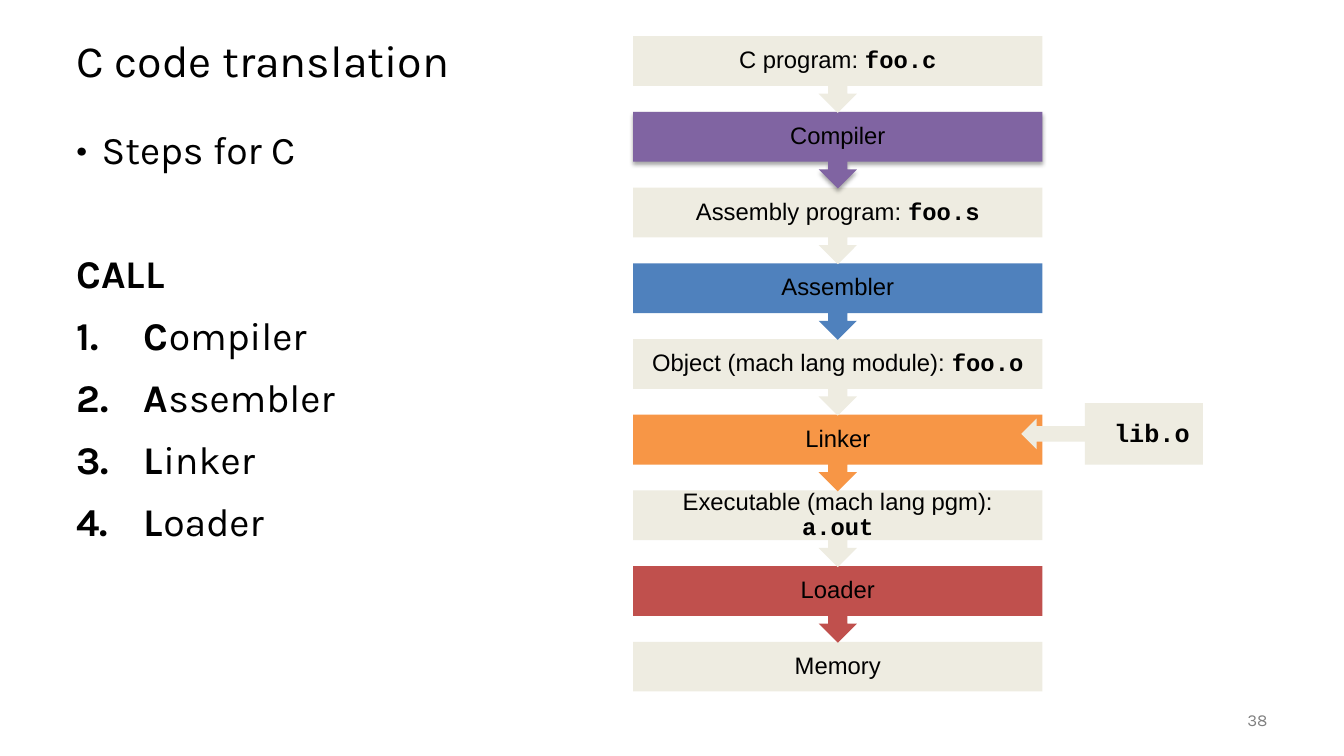
from dataclasses import dataclass

from lxml import etree
from pptx import Presentation
from pptx.dml.color import RGBColor
from pptx.enum.shapes import MSO_SHAPE
from pptx.enum.text import MSO_ANCHOR, PP_ALIGN
from pptx.oxml.ns import qn
from pptx.util import Inches, Pt

DOWN_CALLOUT = MSO_SHAPE.DOWN_ARROW_CALLOUT
LEFT_CALLOUT = MSO_SHAPE.LEFT_ARROW_CALLOUT
RECTANGLE = MSO_SHAPE.RECTANGLE
TOP, MIDDLE = MSO_ANCHOR.TOP, MSO_ANCHOR.MIDDLE
LEFT, CENTER, RIGHT = PP_ALIGN.LEFT, PP_ALIGN.CENTER, PP_ALIGN.RIGHT


@dataclass(frozen=True)
class Theme:
    text: str = "000000"
    muted: str = "808080"
    file: str = "EEECE1"
    compiler: str = "8064A2"
    assembler: str = "4F81BD"
    linker: str = "F79646"
    loader: str = "C0504D"
    font: str = "Karla"
    diagram_font: str = "Arial"
    code_font: str = "Courier New"
    title_size: int = 32
    body_size: int = 28
    library_size: int = 18
    step_size: int = 17
    number_size: int = 12


THEME = Theme()

STEPS = [
    ("C program: ", "foo.c", THEME.file),
    ("Compiler", "", THEME.compiler),
    ("Assembly program: ", "foo.s", THEME.file),
    ("Assembler", "", THEME.assembler),
    ("Object (mach lang module): ", "foo.o", THEME.file),
    ("Linker", "", THEME.linker),
    ("Executable (mach lang pgm): ", "a.out", THEME.file),
    ("Loader", "", THEME.loader),
    ("Memory", "", THEME.file),
]
STEP_LEFT, STEP_TOP, STEP_WIDTH = 6.28, 0.36, 4.06
STEP_PITCH, CALLOUT_HEIGHT, BOX_HEIGHT = 0.751, 0.76, 0.49


def set_font(font, size, name=THEME.font, color=THEME.text):
    font.size = Pt(size)
    font.name = name
    font.color.rgb = RGBColor.from_string(color)


def add_text_box(slide, left, top, width, height, anchor):
    box = slide.shapes.add_textbox(Inches(left), Inches(top), Inches(width), Inches(height))
    frame = box.text_frame
    frame.word_wrap = True
    frame.vertical_anchor = anchor
    return frame


def add_label(slide, text, place, size, color, align):
    paragraph = add_text_box(slide, *place, MIDDLE).paragraphs[0]
    paragraph.text = text
    paragraph.alignment = align
    paragraph.line_spacing = 0.9
    set_font(paragraph.font, size, color=color)


def add_bullet(paragraph, indent, tag, **attributes):
    properties = paragraph._p.get_or_add_pPr()
    properties.set("marL", str(Inches(indent)))
    properties.set("indent", str(-Inches(indent)))
    etree.SubElement(properties, qn("a:buFont"), typeface=THEME.font)
    etree.SubElement(properties, qn(tag), **attributes)


def add_body_paragraph(frame, space_before):
    paragraph = frame.add_paragraph() if frame.text else frame.paragraphs[0]
    paragraph.line_spacing = 0.9
    paragraph.space_before = Pt(space_before)
    set_font(paragraph.font, THEME.body_size)
    return paragraph


def add_body(slide):
    frame = add_text_box(slide, 0.66, 1.25, 4.43, 5.5, TOP)
    intro = add_body_paragraph(frame, 0)
    add_bullet(intro, 0.25, "a:buChar", char="•")
    intro.add_run().text = "Steps for C"
    heading = add_body_paragraph(frame, 58)
    heading.text = "CALL"
    heading.font.bold = True
    for name in ("Compiler", "Assembler", "Linker", "Loader"):
        paragraph = add_body_paragraph(frame, 14)
        add_bullet(paragraph, 0.67, "a:buAutoNum", type="arabicPeriod")
        initial = paragraph.add_run()
        initial.text = name[0]
        initial.font.bold = True
        paragraph.add_run().text = name[1:]


def add_block(slide, kind, place, fill, text, code, size, insets):
    shape = slide.shapes.add_shape(kind, *(Inches(length) for length in place))
    shape.shadow.inherit = False
    shape.fill.solid()
    shape.fill.fore_color.rgb = RGBColor.from_string(fill)
    shape.line.fill.background()
    if kind != RECTANGLE:
        for index, value in enumerate((0.25, 0.25, 0.25, 0.65)):
            shape.adjustments[index] = value
    frame = shape.text_frame
    frame.word_wrap = True
    frame.vertical_anchor = MIDDLE
    frame.margin_left, frame.margin_right = (Inches(inset) for inset in insets)
    frame.margin_top = frame.margin_bottom = 0
    paragraph = frame.paragraphs[0]
    paragraph.alignment = CENTER
    paragraph.line_spacing = 0.9
    set_font(paragraph.font, size, THEME.diagram_font)
    if text:
        paragraph.add_run().text = text
    if code:
        run = paragraph.add_run()
        run.text = code
        run.font.name = THEME.code_font
        run.font.bold = True
    return shape


def add_shadow(shape):
    effects = shape._element.spPr.find(qn("a:effectLst"))
    shadow = etree.SubElement(effects, qn("a:outerShdw"), blurRad=str(Pt(3.1)),
                              dist=str(Pt(1.8)), dir="5400000", rotWithShape="0")
    color = etree.SubElement(shadow, qn("a:srgbClr"), val="000000")
    etree.SubElement(color, qn("a:alpha"), val="35000")


def add_steps(slide):
    last = len(STEPS) - 1
    for index, (text, code, fill) in reversed(list(enumerate(STEPS))):
        kind, height = (RECTANGLE, BOX_HEIGHT) if index == last else (DOWN_CALLOUT, CALLOUT_HEIGHT)
        place = (STEP_LEFT, STEP_TOP + index * STEP_PITCH, STEP_WIDTH, height)
        shape = add_block(slide, kind, place, fill, text, code, THEME.step_size, (0.13, 0.13))
        if text == "Compiler":
            add_shadow(shape)


def main():
    presentation = Presentation()
    presentation.slide_width = Inches(13.33)
    presentation.slide_height = Inches(7.5)
    slide = presentation.slides.add_slide(presentation.slide_layouts[6])
    add_label(slide, "C code translation", (0.66, 0.25, 12, 0.75),
              THEME.title_size, THEME.text, LEFT)
    add_body(slide)
    add_label(slide, "38", (11.67, 6.95, 1, 0.4), THEME.number_size, THEME.muted, RIGHT)
    add_steps(slide)
    add_block(slide, LEFT_CALLOUT, (10.13, 4, 1.8, 0.61), THEME.file, "", "lib.o",
              THEME.library_size, (0.22, 0.06))
    presentation.save("out.pptx")


if __name__ == "__main__":
    main()
